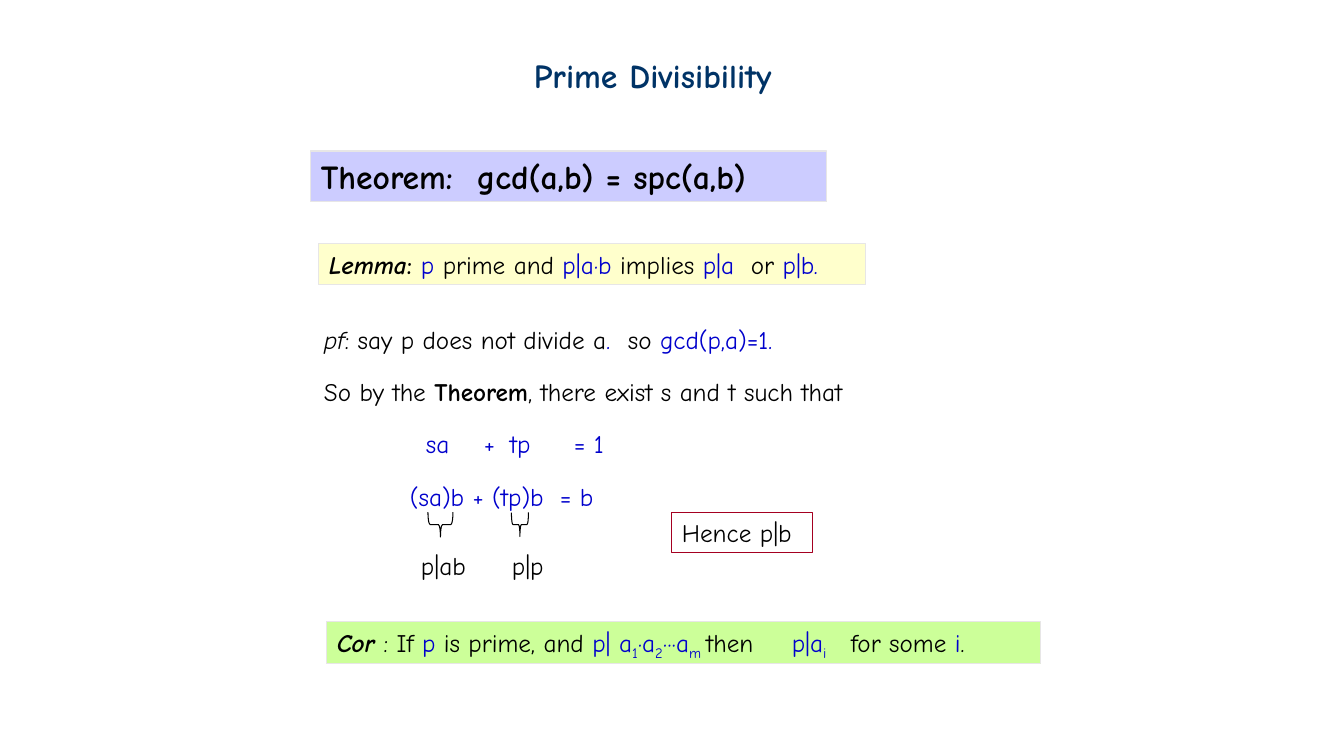
from lxml import etree
from pptx import Presentation
from pptx.dml.color import RGBColor
from pptx.enum.shapes import MSO_SHAPE
from pptx.enum.text import MSO_ANCHOR, PP_ALIGN
from pptx.oxml.ns import qn
from pptx.util import Pt

RECT, BRACE = MSO_SHAPE.RECTANGLE, MSO_SHAPE.LEFT_BRACE
TOP, LEFT = MSO_ANCHOR.TOP, PP_ALIGN.LEFT

BLACK = RGBColor(0x00, 0x00, 0x00)
NAVY = RGBColor(0x00, 0x33, 0x66)
BLUE = RGBColor(0x00, 0x00, 0xCC)
GRAY = RGBColor(0xE7, 0xE6, 0xE6)
CRIMSON = RGBColor(0xA5, 0x00, 0x21)
LILAC = RGBColor(0xCC, 0xCC, 0xFF)
YELLOW = RGBColor(0xFF, 0xFF, 0xCC)
GREEN = RGBColor(0xCC, 0xFF, 0x99)


def px(n):
    return round(n * 914400 / 100.8)


class Board:
    font = "Comic Neue"

    def __init__(self, slide):
        self.slide = slide

    def paragraph(self, p, runs, tabs=(), size=18, color=BLACK, bold=None):
        p.alignment = LEFT
        if tabs:
            tab_list = etree.SubElement(p._p.get_or_add_pPr(), qn("a:tabLst"))
            for pos in tabs:
                etree.SubElement(tab_list, qn("a:tab"), pos=str(px(pos)), algn="l")
        p.font.name = self.font
        p.font.size = Pt(size)
        p.font.bold = bold
        p.font.color.rgb = color
        for text, style in runs:
            r = p.add_run()
            r.text = text
            if "blue" in style:
                r.font.color.rgb = BLUE
            if "bold" in style:
                r.font.bold = True
            if "italic" in style:
                r.font.italic = True
            if "sub" in style:
                r._r.get_or_add_rPr().set("baseline", "-25000")

    def text(self, box, runs, **style):
        sp = self.slide.shapes.add_textbox(*map(px, box))
        tf = sp.text_frame
        tf.word_wrap = True
        self.paragraph(tf.paragraphs[0], runs, **style)
        return tf

    def panel(self, box, runs, fill=None, line=GRAY, **style):
        sp = self.shape(RECT, box, line)
        if fill is not None:
            sp.fill.solid()
            sp.fill.fore_color.rgb = fill
        tf = sp.text_frame
        tf.word_wrap = True
        tf.vertical_anchor = TOP
        self.paragraph(tf.paragraphs[0], runs, **style)

    def shape(self, kind, box, line):
        sp = self.slide.shapes.add_shape(kind, *map(px, box))
        sp.shadow.inherit = False
        sp.fill.background()
        sp.line.color.rgb = line
        sp.line.width = Pt(0.75)
        return sp

    def brace(self, box):
        sp = self.shape(BRACE, box, BLACK)
        sp.rotation = 270
        sp.adjustments[0] = 0.083

    def proof(self, box, lines):
        (first, first_tabs), *rest = lines
        tf = self.text(box, first, tabs=first_tabs)
        for runs, tabs in rest:
            p = tf.add_paragraph()
            p.line_spacing = 1.5
            p.space_before = Pt(5)
            self.paragraph(p, runs, tabs)


def main():
    prs = Presentation()
    prs.slide_width, prs.slide_height = px(1344), px(756)
    s = Board(prs.slides.add_slide(prs.slide_layouts[6]))

    s.text((524, 50, 290, 50), [("Prime Divisibility", "")],
           size=24, color=NAVY, bold=True)
    s.proof((314, 319, 617, 210), [
        ([("pf", "italic"), (": say p does not divide a", ""), (".\t", "blue"),
          ("so ", ""), ("gcd(p,a)=1.", "blue")], [304]),
        ([("So by the ", ""), ("Theorem", "bold"),
          (", there exist s and t such that", "")], []),
        ([("\tsa\t+\ttp\t= 1", "blue")], [102, 160, 186, 250]),
        ([("\t(sa)b + (tp)b\t= b", "blue")], [86, 236]),
    ])
    s.panel((319, 244, 547, 41), [
        ("Lemma", "bold italic"), (": ", "bold"), ("p", "blue"),
        (" prime and ", ""), ("p|a·b ", "blue"), ("implies ", ""),
        ("p|a\t", "blue"), ("or", ""), (" p|b.", "blue")], YELLOW, tabs=[422])
    s.brace((428, 512, 25, 25))
    s.brace((508, 516, 24, 17))
    for left, width, label in ((411, 73, "p|ab"), (502, 57, "p|p")):
        s.text((left, 545, width, 40), [(label, "")])
    s.panel((327, 622, 714, 42), [
        ("Cor ", "bold italic"), (": If ", ""), ("p", "blue"),
        (" is prime, and ", ""), ("p| a", "blue"), ("1", "blue sub"),
        ("·a", "blue"), ("2", "blue sub"), ("···a", "blue"),
        ("m ", "blue sub"), ("then\t", ""), ("p|a", "blue"),
        ("i\t", "blue sub"), ("for some", ""), (" i", "blue"), (".", "")],
        GREEN, tabs=[455, 514])
    s.panel((311, 151, 516, 51), [("Theorem:\tgcd(a,b) = spc(a,b)", "")],
            LILAC, tabs=[156], size=24, bold=True)
    s.panel((672, 512, 141, 41), [("Hence p|b", "")], line=CRIMSON)

    prs.save("out.pptx")


if __name__ == "__main__":
    main()
